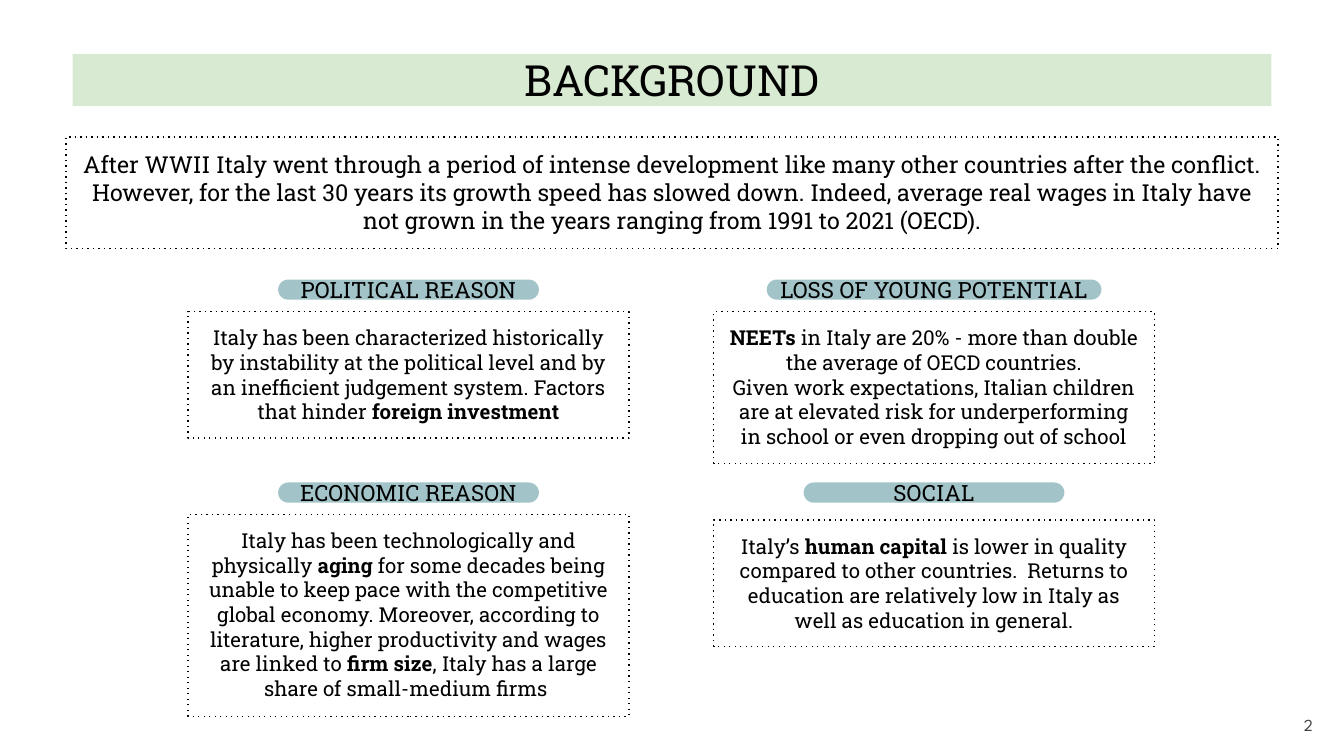
from pptx import Presentation
from pptx.dml.color import RGBColor
from pptx.enum import dml, shapes, text
from pptx.oxml import ns
from pptx.util import Inches, Pt

BLACK = RGBColor(0x00, 0x00, 0x00)
GRAY = RGBColor(0x42, 0x42, 0x42)
GREEN = RGBColor(0xD9, 0xEA, 0xD3)
TEAL = RGBColor(0xA2, 0xC4, 0xC9)
BODY_FONT = "Roboto Slab"
NUMBER_FONT = "League Spartan"

CARD_WIDTH = 3.28
LEFT_COLUMN, RIGHT_COLUMN = 1.4, 5.31
PILL_HEIGHT = 0.15
TOP_ROW, BOTTOM_ROW = 2.08, 3.59

INTRO = (
    "After WWII Italy went through a period of intense development like many "
    "other countries after the conflict. However, for the last 30 years its "
    "growth speed has slowed down. Indeed, average real wages in Italy have "
    "not grown in the years ranging from 1991 to 2021 (OECD)."
)

# heading, column left, heading top, heading width, card top, card height,
# paragraphs (bold parts between asterisks)
REASONS = [
    ("POLITICAL REASON", LEFT_COLUMN, TOP_ROW, 1.94, 2.32, 0.94, [
        "Italy has been characterized historically by instability at the "
        "political level and by an inefficient judgement system. Factors "
        "that hinder *foreign investment*"]),
    ("LOSS OF YOUNG POTENTIAL", RIGHT_COLUMN, TOP_ROW, 2.49, 2.32, 1.13, [
        "*NEETs *in Italy are 20% - more than double the average of OECD "
        "countries.",
        "Given work expectations, Italian children are at elevated risk for "
        "underperforming in school or even dropping out of school"]),
    ("ECONOMIC REASON", LEFT_COLUMN, BOTTOM_ROW, 1.94, 3.83, 1.5, [
        "Italy has been technologically and physically *aging* for some "
        "decades being unable to keep pace with the competitive global "
        "economy. Moreover, according to literature, higher productivity and "
        "wages are linked to *firm size*, Italy has a large share of "
        "small-medium firms "]),
    ("SOCIAL", RIGHT_COLUMN, BOTTOM_ROW, 1.94, 3.87, 0.94, [
        "Italy’s *human capital *is lower in quality compared to other "
        "countries.  Returns to education are relatively low in Italy as well "
        "as education in general."]),
]


def write(box, paragraphs, size, inset=(0.1, 0.1), anchor=text.MSO_ANCHOR.TOP,
          align=text.PP_ALIGN.CENTER, font=BODY_FONT, color=BLACK):
    """Fill a shape with paragraphs; text between asterisks is bold."""
    frame = box.text_frame
    frame.word_wrap = True
    frame.vertical_anchor = anchor
    frame.margin_left = frame.margin_right = Inches(inset[0])
    frame.margin_top = frame.margin_bottom = Inches(inset[1])
    for index, wording in enumerate(paragraphs):
        para = frame.add_paragraph() if index else frame.paragraphs[0]
        para.alignment = align
        para.font.name = font
        para.font.size = Pt(size)
        para.font.color.rgb = color
        for part, words in enumerate(wording.split("*")):
            if words:
                span = para.add_run()
                span.text = words
                if part % 2:
                    span.font.bold = True


def add_box(page, kind, left, top, width, height):
    box = page.shapes.add_shape(kind, Inches(left), Inches(top),
                                Inches(width), Inches(height))
    box.shadow.inherit = False
    return box


def add_filled(page, kind, left, top, width, height, color):
    box = add_box(page, kind, left, top, width, height)
    box.fill.solid()
    box.fill.fore_color.rgb = color
    box.line.fill.background()
    return box


def add_title(page, title):
    band = add_filled(page, shapes.MSO_SHAPE.RECTANGLE,
                      0.54, 0.4, 8.92, 0.39, GREEN)
    write(band, [title], 23, inset=(0, 0))


def add_card(page, left, top, width, height, paragraphs, size):
    """Add a text card with a dotted outline."""
    card = add_box(page, shapes.MSO_SHAPE.RECTANGLE, left, top, width, height)
    card.fill.background()
    card.line.color.rgb = BLACK
    card.line.width = Pt(0.75)
    card.line.dash_style = dml.MSO_LINE.ROUND_DOT
    # The wide-spaced dot has no member in MSO_LINE.
    for dash in card.element.iter(ns.qn("a:prstDash")):
        dash.set("val", "dot")
    write(card, paragraphs, size)


def add_pill(page, center, top, width, heading):
    pill = add_filled(page, shapes.MSO_SHAPE.ROUNDED_RECTANGLE,
                      center - width / 2, top, width, PILL_HEIGHT, TEAL)
    pill.adjustments[0] = 0.5
    write(pill, [heading], 12, inset=(0.07, 0.04),
          anchor=text.MSO_ANCHOR.MIDDLE)


def add_page_number(page, number):
    box = page.shapes.add_textbox(Inches(9.24), Inches(5.18),
                                  Inches(0.6), Inches(0.43))
    write(box, [number], 9, inset=(0.07, 0.04),
          anchor=text.MSO_ANCHOR.MIDDLE, align=text.PP_ALIGN.RIGHT,
          font=NUMBER_FONT, color=GRAY)


def main():
    deck = Presentation()
    deck.slide_width = Inches(10)
    deck.slide_height = deck.slide_width * 9 // 16
    page = deck.slides.add_slide(deck.slide_layouts[6])

    add_title(page, "BACKGROUND")
    add_card(page, 0.49, 1.02, 9.02, 0.83, [INTRO], 12.5)
    for heading, left, top, width, card_top, height, paragraphs in REASONS:
        add_card(page, left, card_top, CARD_WIDTH, height, paragraphs, 11)
        add_pill(page, left + CARD_WIDTH / 2, top, width, heading)
    add_page_number(page, "2")

    deck.save("out.pptx")


if __name__ == "__main__":
    main()
